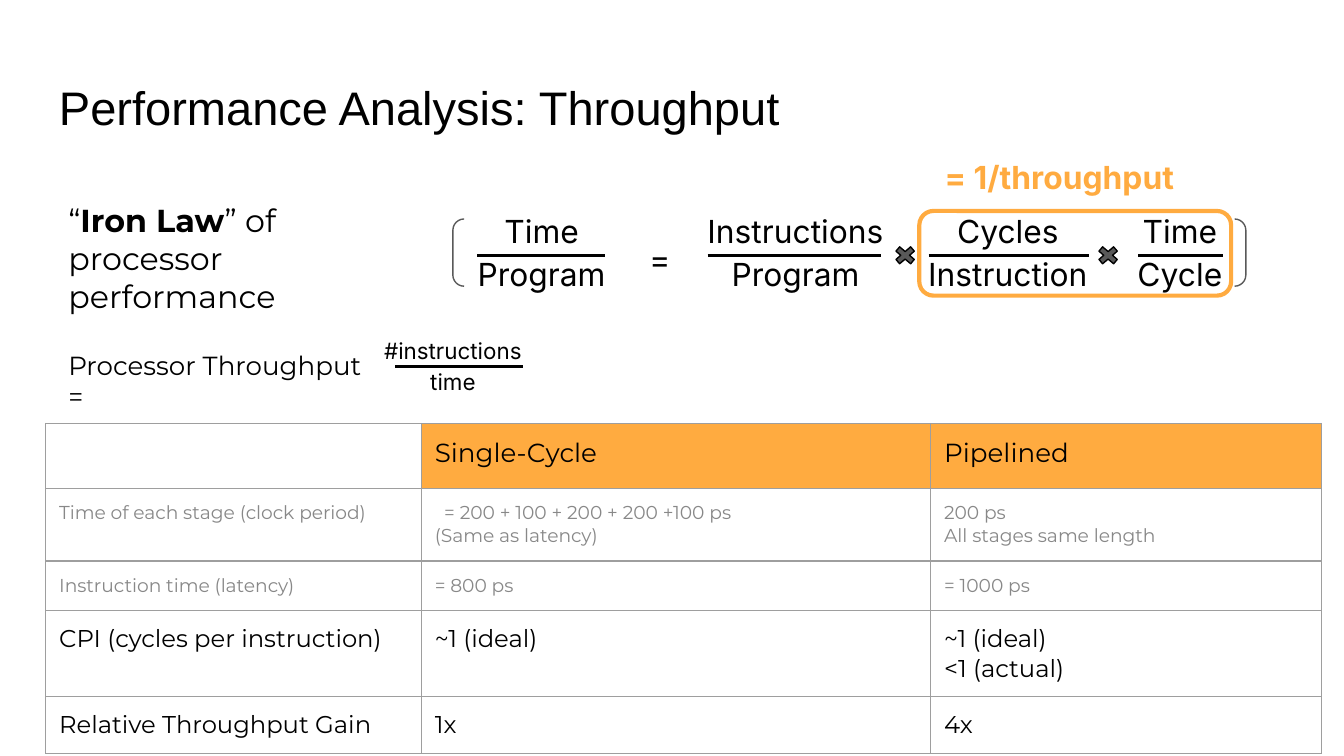
from lxml.etree import SubElement
from pptx import Presentation
from pptx.dml.color import RGBColor
from pptx.enum.shapes import MSO_CONNECTOR, MSO_SHAPE
from pptx.enum.text import MSO_ANCHOR, PP_ALIGN
from pptx.oxml.ns import qn
from pptx.util import Pt

PX = 4572
INSET = 20 * PX
COLORS = {"black": "000000", "orange": "FFAB40", "dark": "595959", "muted": "888888", "border": "9E9E9E"}
RGB = {name: RGBColor.from_string(value) for name, value in COLORS.items()}

FORMATS = {
    "title": {"name": "Arial", "size": Pt(25.2), "bold": False, "color": "black"},
    "law": {"name": "Montserrat", "size": Pt(17), "bold": False, "color": "black"},
    "law bold": {"name": "Montserrat", "size": Pt(17), "bold": True, "color": "black"},
    "callout": {"name": "Inter", "size": Pt(17), "bold": True, "color": "orange"},
    "equation": {"name": "Inter", "size": Pt(17), "bold": False, "color": "black"},
    "fraction": {"name": "Inter", "size": Pt(12), "bold": False, "color": "black"},
    "heading": {"name": "Montserrat", "size": Pt(14), "bold": False, "color": "black"},
    "muted": {"name": "Montserrat", "size": Pt(10), "bold": False, "color": "muted"},
    "strong": {"name": "Montserrat", "size": Pt(13), "bold": False, "color": "black"},
}


def add_run(paragraph, text, style):
    run = paragraph.add_run()
    run.text = text
    for name, value in FORMATS[style].items():
        if name == "color":
            run.font.color.rgb = RGB[value]
        else:
            setattr(run.font, name, value)


def add_grid(left, top, columns, heights, rows, styles, border=None):
    frame = slide.shapes.add_table(
        len(rows), len(columns), left * PX, top * PX, sum(columns) * PX, sum(heights) * PX
    )
    table = frame.table
    for column, width in zip(table.columns, columns):
        column.width = width * PX
    for row, height in zip(table.rows, heights):
        row.height = height * PX
    for row_index, texts in enumerate(rows):
        for column_index, text in enumerate(texts):
            cell = table.cell(row_index, column_index)
            for side in ("a:lnL", "a:lnR", "a:lnT", "a:lnB"):
                line = SubElement(cell._tc.get_or_add_tcPr(), qn(side), w=str(Pt(0.75)))
                if border:
                    fill = SubElement(line, qn("a:solidFill"))
                    SubElement(fill, qn("a:srgbClr"), val=COLORS[border])
                else:
                    SubElement(line, qn("a:noFill"))
            cell.fill.background()
            if not text:
                continue
            cell.margin_left = cell.margin_right = cell.margin_top = cell.margin_bottom = INSET
            for line_index, line_text in enumerate(text.split("\n")):
                text_frame = cell.text_frame
                paragraph = text_frame.add_paragraph() if line_index else text_frame.paragraphs[0]
                add_run(paragraph, line_text, styles[row_index])
    return table


presentation = Presentation()
presentation.slide_width = 2000 * PX
presentation.slide_height = 1125 * PX
slide = presentation.slides.add_slide(presentation.slide_layouts[6])

shapes = [
    (MSO_SHAPE.DOUBLE_BRACKET, 674, 326, 1180, 100, None, "dark", 0.75),
    (MSO_SHAPE.MATH_MULTIPLY, 1326, 362, 42, 36, "dark", "black", 0.75),
    (MSO_SHAPE.MATH_MULTIPLY, 1628, 362, 42, 36, "dark", "black", 0.75),
    (MSO_SHAPE.FLOWCHART_ALTERNATE_PROCESS, 1368, 314, 464, 126, None, "orange", 2.25),
]
for kind, left, top, width, height, fill, line, weight in shapes:
    shape = slide.shapes.add_shape(kind, left * PX, top * PX, width * PX, height * PX)
    shape.shadow.inherit = False
    if fill:
        shape.fill.solid()
        shape.fill.fore_color.rgb = RGB[fill]
    else:
        shape.fill.background()
    shape.line.color.rgb = RGB[line]
    shape.line.width = Pt(weight)

performance_rows = [
    ("", "Single-Cycle", "Pipelined"),
    ("Time of each stage (clock period)", "= 200 + 100 + 200 + 200 +100 ps\n(Same as latency)",
     "200 ps\nAll stages same length"),
    ("Instruction time (latency)", "= 800 ps", "= 1000 ps"),
    ("CPI (cycles per instruction)", "~1 (ideal)", "~1 (ideal)\n<1 (actual)"),
    ("Relative Throughput Gain", "1x", "4x"),
]
performance = add_grid(
    68, 630, (559, 758, 582), (97, 108, 74, 128, 84), performance_rows,
    ("heading", "muted", "muted", "strong", "strong"), "border",
)
for column_index in (1, 2):
    header = performance.cell(0, column_index)
    header.fill.solid()
    header.fill.fore_color.rgb = RGB["orange"]
stage_sum = performance.cell(1, 1).text_frame.paragraphs[0]
stage_sum._p.get_or_add_pPr().set("marL", str(14 * PX))

equation = add_grid(
    674, 293, (264, 88, 316, 316, 196), (84, 84),
    [("Time", "=", "Instructions", "Cycles", "Time"), ("Program", "", "Program", "Instruction", "Cycle")],
    ("equation", "equation"),
)
equation.cell(0, 1).merge(equation.cell(1, 1))
throughput = add_grid(538, 477, (272,), (72, 60), [("#instructions",), ("time",)], ("fraction", "fraction"))
for table in (equation, throughput):
    for row_index, row in enumerate(table.rows):
        for cell in row.cells:
            cell.vertical_anchor = MSO_ANCHOR.MIDDLE
            if row_index:
                cell.margin_top = 0
            else:
                cell.margin_bottom = 0
            cell.text_frame.paragraphs[0].alignment = PP_ALIGN.CENTER

fraction_bars = [(710, 900, 380), (1053, 1311, 380), (1382, 1620, 380), (1694, 1820, 380), (588, 778, 546)]
for start, end, height in fraction_bars:
    fraction_bar = slide.shapes.add_connector(
        MSO_CONNECTOR.STRAIGHT, start * PX, height * PX, end * PX, height * PX
    )
    fraction_bar.line.color.rgb = RGB["black"]
    fraction_bar.line.width = Pt(1.5)
    SubElement(fraction_bar._element.spPr, qn("a:effectLst"))

text_boxes = [
    (68, 97, 1864, 126, [("Performance Analysis: Throughput", "title")]),
    (82, 279, 464, 182, [("“", "law"), ("Iron Law", "law bold"), ("” of processor performance", "law")]),
    (1386, 214, 464, 90, [("= 1/throughput", "callout")]),
    (82, 500, 506, 90, [("Processor Throughput =", "heading")]),
]
for left, top, width, height, runs in text_boxes:
    text_frame = slide.shapes.add_textbox(left * PX, top * PX, width * PX, height * PX).text_frame
    text_frame.word_wrap = True
    for side in ("left", "right", "top", "bottom"):
        setattr(text_frame, f"margin_{side}", INSET)
    for text, style in runs:
        add_run(text_frame.paragraphs[0], text, style)

presentation.save("out.pptx")
